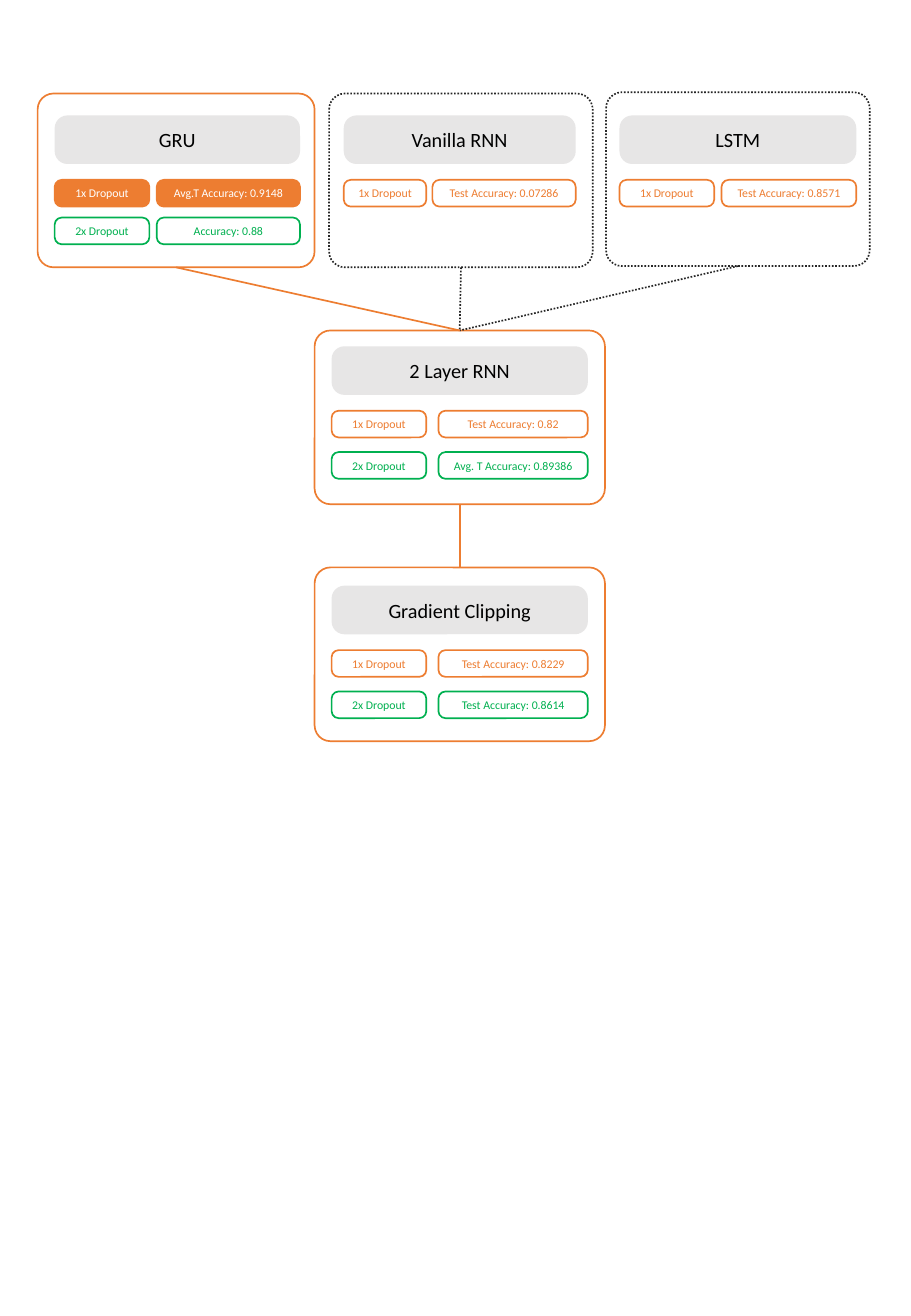
"""Builds a slide that compares the accuracy of recurrent network variants."""
import pptx
import pptx.util
import pptx.dml.color
import pptx.enum.dml
import pptx.enum.shapes
import pptx.enum.text
import pptx.oxml

Inches, Pt = pptx.util.Inches, pptx.util.Pt
ORANGE, GREEN, DARK, GREY = "ED7D31", "00B050", "262626", "E7E6E6"
WHITE, BLACK = "FFFFFF", "000000"
FRAME_H, TITLE_H, PILL_H, PILL_DROP = 1.43, 0.4, 0.22, 0.53

# name: frame (left, top, width), line, title (left, top, width), label width, gap, row pitch, rows
CARDS = {
    "GRU": dict(frame=(0.31, 0.77, 2.28), line=ORANGE, title=(0.45, 0.95, 2.02),
                label_w=0.78, gap=0.06, pitch=0.31,
                rows=[("1x Dropout", "Avg.T Accuracy: 0.9148", ORANGE, True),
                      ("2x Dropout", "Accuracy: 0.88", GREEN, False)]),
    "Vanilla RNN": dict(frame=(2.71, 0.77, 2.17), line=DARK, title=(2.83, 0.95, 1.91),
                        label_w=0.68, gap=0.05, pitch=0.31,
                        rows=[("1x Dropout", "Test Accuracy: 0.07286", ORANGE, False)]),
    "LSTM": dict(frame=(4.99, 0.76, 2.17), line=DARK, title=(5.1, 0.95, 1.95),
                 label_w=0.78, gap=0.06, pitch=0.31,
                 rows=[("1x Dropout", "Test Accuracy: 0.8571", ORANGE, False)]),
    "2 Layer RNN": dict(frame=(2.59, 2.72, 2.39), line=ORANGE, title=(2.73, 2.85, 2.11),
                        label_w=0.78, gap=0.1, pitch=0.34,
                        rows=[("1x Dropout", "Test Accuracy: 0.82", ORANGE, False),
                              ("2x Dropout", "Avg. T Accuracy: 0.89386", GREEN, False)]),
    "Gradient Clipping": dict(frame=(2.59, 4.67, 2.39), line=ORANGE, title=(2.73, 4.82, 2.11),
                              label_w=0.78, gap=0.1, pitch=0.34,
                              rows=[("1x Dropout", "Test Accuracy: 0.8229", ORANGE, False),
                                    ("2x Dropout", "Test Accuracy: 0.8614", GREEN, False)]),
}
LINKS = [("Vanilla RNN", "2 Layer RNN"), ("LSTM", "2 Layer RNN"),
         ("GRU", "2 Layer RNN"), ("2 Layer RNN", "Gradient Clipping")]


def rgb(color):
    return pptx.dml.color.RGBColor.from_string(color)


def set_line(line, color):
    line.color.rgb = rgb(color)
    line.width = Pt(1)
    if color == DARK:
        line.dash_style = pptx.enum.dml.MSO_LINE.ROUND_DOT


def add_text(sp, text, size=7, color=BLACK, font="Calibri"):
    tf = sp.text_frame
    tf.word_wrap = True
    tf.vertical_anchor = pptx.enum.text.MSO_ANCHOR.MIDDLE
    tf.margin_left = tf.margin_right = tf.margin_top = tf.margin_bottom = 0
    p = tf.paragraphs[0]
    p.alignment = pptx.enum.text.PP_ALIGN.CENTER
    r = p.add_run()
    r.text = text
    r.font.name, r.font.size = font, Pt(size)
    r.font.color.rgb = rgb(color)


def add_box(left, top, width, height, fill=None, line=None, corner=0.263):
    sp = s.shapes.add_shape(pptx.enum.shapes.MSO_SHAPE.ROUNDED_RECTANGLE,
                            Inches(left), Inches(top), Inches(width), Inches(height))
    sp.adjustments[0] = corner
    sp.shadow.inherit = False
    if fill:
        sp.fill.solid()
        sp.fill.fore_color.rgb = rgb(fill)
    else:
        sp.fill.background()
    if line:
        set_line(sp.line, line)
    else:
        sp.line.fill.background()
    return sp


def add_card(name, frame, line, title, label_w, gap, pitch, rows):
    sp = add_box(*frame, FRAME_H, line=line, corner=0.091)
    left, top, width = title
    add_text(add_box(*title, TITLE_H, fill=GREY), name, size=12)
    value_left = left + label_w + gap
    value_w = width - label_w - gap
    for i, (label, value, color, filled) in enumerate(rows):
        y = top + PILL_DROP + i * pitch
        for text, x, w in ((label, left, label_w), (value, value_left, value_w)):
            pill = add_box(x, y, w, PILL_H, fill=color if filled else WHITE, line=color)
            add_text(pill, text, color=WHITE if filled else color)
    return sp


def add_link(start, end, color):
    cxn = s.shapes.add_connector(pptx.enum.shapes.MSO_CONNECTOR.STRAIGHT, 0, 0, 0, 0)
    cxn.begin_connect(start, 2)
    cxn.end_connect(end, 0)
    set_line(cxn.line, color)
    cxn._element.spPr.append(pptx.oxml.parse_xml(
        '<a:effectLst xmlns:a="http://schemas.openxmlformats.org/drawingml/2006/main"/>'))


prs = pptx.Presentation()
prs.slide_width, prs.slide_height = Inches(7.5), Inches(10.83)
s = prs.slides.add_slide(prs.slide_layouts[6])
frames = {name: add_card(name, **card) for name, card in CARDS.items()}
for start, end in LINKS:
    add_link(frames[start], frames[end], CARDS[start]["line"])
prs.save("out.pptx")
